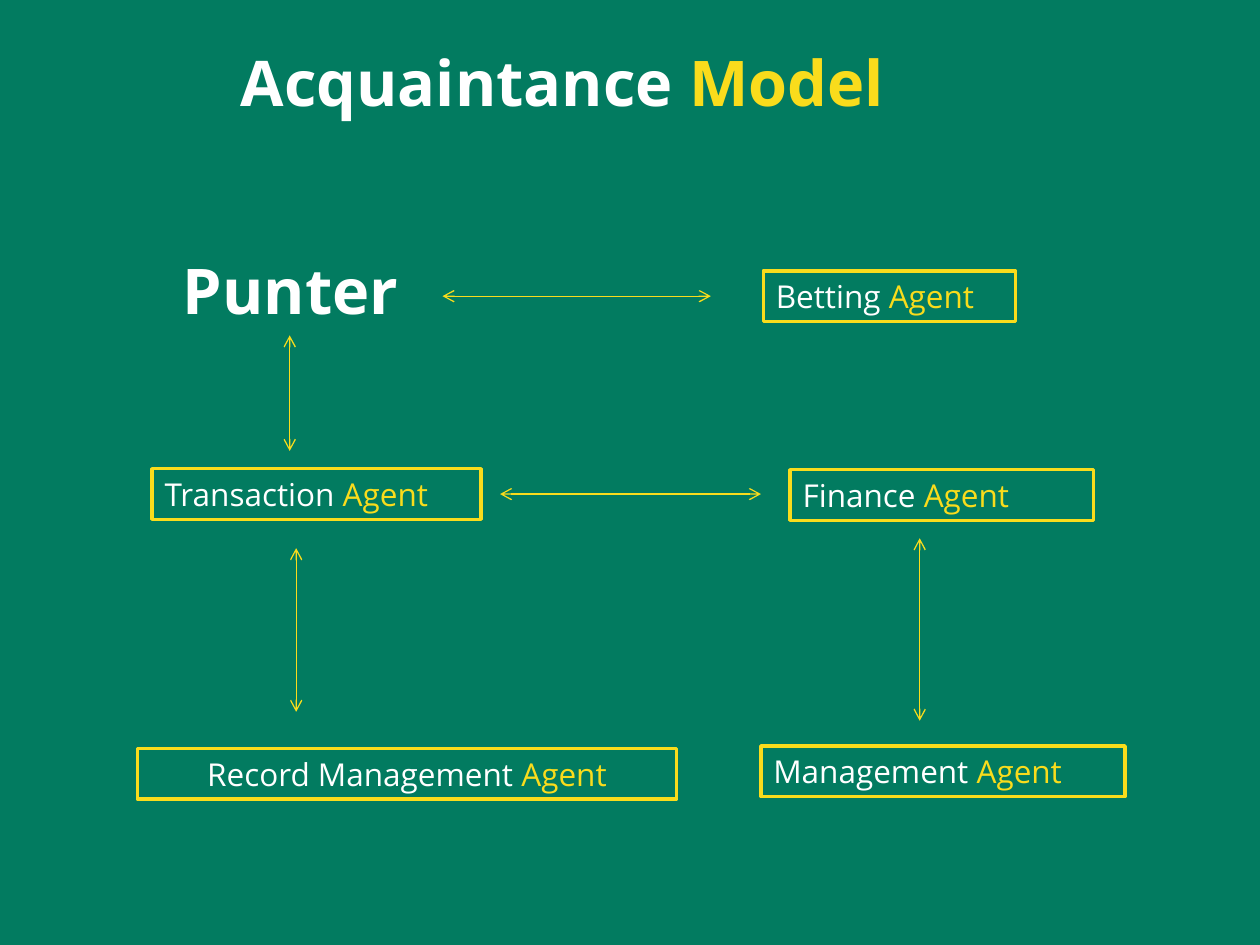
import pptx
import pptx.util
import pptx.dml.color
import pptx.enum.shapes
import pptx.enum.text
import pptx.oxml
from lxml import etree

Cm, Pt = pptx.util.Cm, pptx.util.Pt
GREEN = pptx.dml.color.RGBColor(0x02, 0x7B, 0x60)
YELLOW = pptx.dml.color.RGBColor(0xF9, 0xDC, 0x1C)
WHITE = pptx.dml.color.RGBColor(0xFF, 0xFF, 0xFF)
FONT = "Open Sans"
LEFT = pptx.enum.text.PP_ALIGN.LEFT
CENTER = pptx.enum.text.PP_ALIGN.CENTER
AGENT_HEIGHT = 1.02

# Name, left, top, width, alignment; centimetres inside the diagram
AGENTS = [
    ("Betting", 12.62, 0.51, 5.08, LEFT),
    ("Transaction", 0.3, 4.5, 6.63, LEFT),
    ("Finance", 13.16, 4.52, 6.12, LEFT),
    ("Record Management", 0, 10.14, 10.87, CENTER),
    ("Management", 12.57, 10.09, 7.34, LEFT),
]
# Start x, start y, end x, end y
ACQUAINTANCES = [
    (6.15, 1.02, 11.56, 1.02),   # punter and betting
    (3.07, 1.81, 3.07, 4.14),    # punter and transaction
    (7.31, 5.01, 12.57, 5.01),   # transaction and finance
    (3.2, 6.1, 3.2, 9.4),        # transaction and record management
    (15.77, 5.9, 15.77, 9.58),   # finance and management
]


def write(frame, runs, size, bold=False, align=LEFT):
    """Fill a text frame with one paragraph of (text, colour) runs."""
    frame.word_wrap = True
    frame.auto_size = pptx.enum.text.MSO_AUTO_SIZE.NONE
    frame.vertical_anchor = pptx.enum.text.MSO_ANCHOR.TOP
    paragraph = frame.paragraphs[0]
    paragraph.alignment = align
    for text, colour in runs:
        run = paragraph.add_run()
        run.text = text
        run.font.name = FONT
        run.font.size = Pt(size)
        run.font.bold = bold
        run.font.color.rgb = colour


def add_title(slide, left, top, width, height):
    title = slide.shapes.title
    title.left, title.top = Cm(left), Cm(top)
    title.width, title.height = Cm(width), Cm(height)
    write(title.text_frame, [("Acquaintance", WHITE), (" Model", YELLOW)], 36, bold=True)
    title.text_frame.paragraphs[0].line_spacing = 1.0
    title.text_frame.paragraphs[0].space_before = Pt(0)


def add_agent(slide, name, left, top, width, align):
    agent = slide.shapes.add_shape(
        pptx.enum.shapes.MSO_SHAPE.RECTANGLE,
        Cm(left), Cm(top), Cm(width), Cm(AGENT_HEIGHT))
    agent.shadow.inherit = False
    agent.fill.background()
    agent.line.color.rgb = YELLOW
    agent.line.width = Pt(2)
    write(agent.text_frame, [(name + " ", WHITE), ("Agent", YELLOW)], 18, align=align)


def add_double_arrow(slide, start_x, start_y, end_x, end_y):
    arrow = slide.shapes.add_connector(
        pptx.enum.shapes.MSO_CONNECTOR.STRAIGHT,
        Cm(start_x), Cm(start_y), Cm(end_x), Cm(end_y))
    arrow.line.color.rgb = YELLOW
    arrow.line.width = Pt(0.75)
    line = arrow.line._get_or_add_ln()
    for end in ("a:headEnd", "a:tailEnd"):
        etree.SubElement(line, pptx.oxml.ns.qn(end), type="arrow")
    etree.SubElement(line.getparent(), pptx.oxml.ns.qn("a:effectLst"))


def add_diagram(slide, left, top):
    for name, x, y, width, align in AGENTS:
        add_agent(slide, name, left + x, top + y, width, align)
    punter = slide.shapes.add_textbox(Cm(left), Cm(top), Cm(6.55), Cm(1.8))
    punter.text_frame.margin_left = Cm(0.92)
    write(punter.text_frame, [("Punter", WHITE)], 36, bold=True)
    for x1, y1, x2, y2 in ACQUAINTANCES:
        add_double_arrow(slide, left + x1, top + y1, left + x2, top + y2)


def main():
    deck = pptx.Presentation()
    deck.slide_width, deck.slide_height = Cm(25.4), Cm(19.05)
    slide = deck.slides.add_slide(deck.slide_layouts.get_by_name("Title Only"))
    slide.background.fill.solid()
    slide.background.fill.fore_color.rgb = GREEN
    add_title(slide, 4.6, 0.74, 14.27, 1.8)
    add_diagram(slide, 2.77, 4.95)
    deck.save("out.pptx")


if __name__ == "__main__":
    main()
